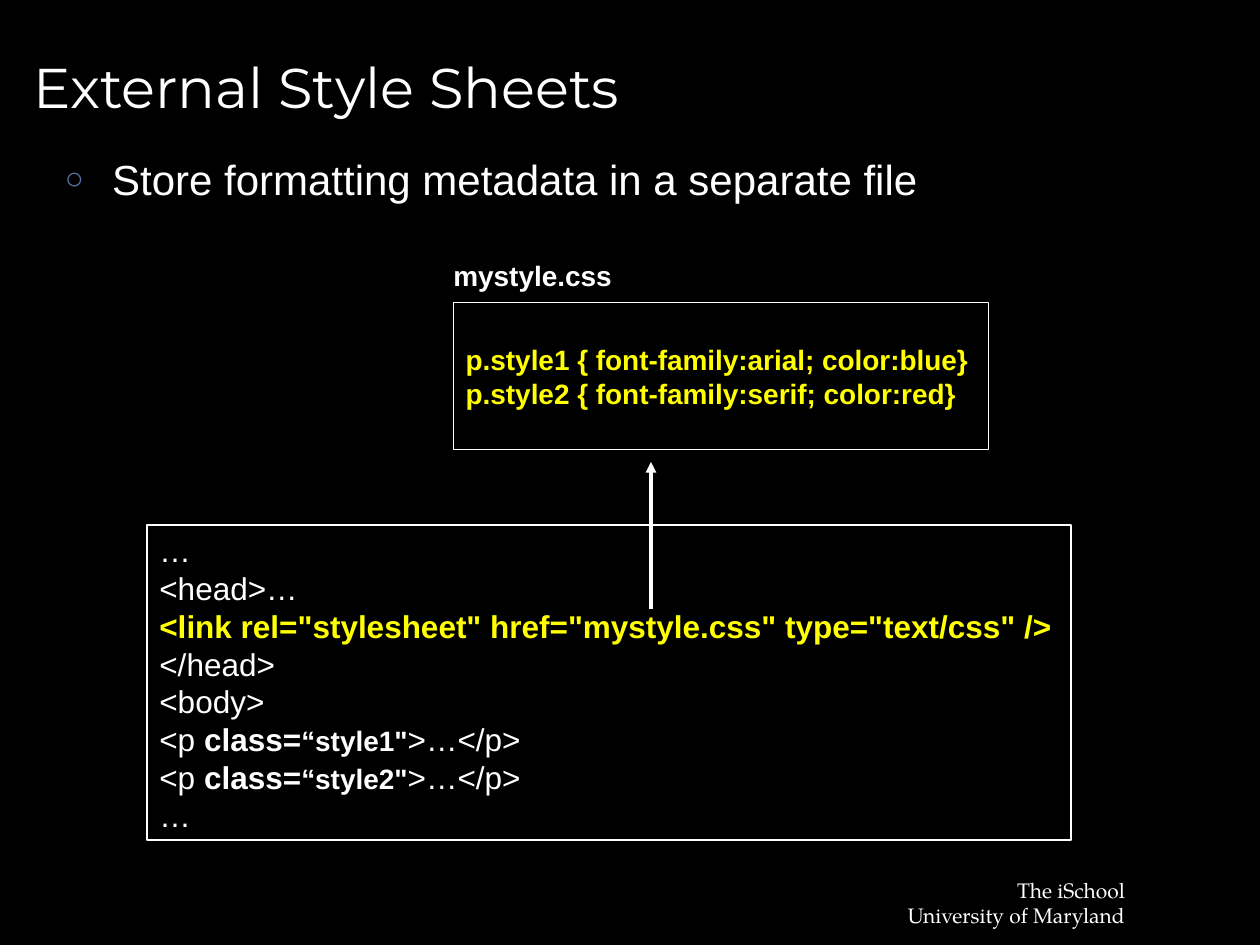
"""Build the External Style Sheets slide."""
import lxml.etree
import pptx
import pptx.dml.color
import pptx.enum.shapes
import pptx.enum.text
import pptx.oxml
import pptx.oxml.ns
import pptx.util

Pt = pptx.util.Pt
ALIGN = pptx.enum.text.PP_ALIGN
ANCHOR = pptx.enum.text.MSO_ANCHOR
RECTANGLE = pptx.enum.shapes.MSO_SHAPE.RECTANGLE
COLORS = {"background": "000000", "text": "FFFFFF", "highlight": "FFFF00", "bullet": "5675A9"}


def rgb(name):
    return pptx.dml.color.RGBColor.from_string(COLORS[name])


def write(paragraph, text, size=18, font="Arial", color="text", bold=False, align=ALIGN.LEFT):
    paragraph.alignment = align
    run = paragraph.add_run()
    run.text = text
    run.font.size = Pt(size)
    run.font.name = font
    run.font.bold = bold
    run.font.color.rgb = rgb(color)


deck = pptx.Presentation()
deck.slide_width, deck.slide_height = Pt(720), Pt(540)
slide = deck.slides.add_slide(deck.slide_layouts[5])
slide.background.fill.solid()
slide.background.fill.fore_color.rgb = rgb("background")

title = slide.shapes.title
title.left, title.top, title.width, title.height = Pt(12), Pt(8.5), Pt(684), Pt(81)
title.text_frame.vertical_anchor = ANCHOR.MIDDLE
write(title.text_frame.paragraphs[0], "External Style Sheets", size=32, font="Montserrat")

summary = slide.shapes.add_textbox(Pt(30), Pt(84), Pt(666), Pt(402)).text_frame
summary.word_wrap = True
point = summary.paragraphs[0]
properties = point._p.get_or_add_pPr()
properties.set("marL", str(Pt(27)))
properties.set("indent", str(-Pt(27)))
namespace = pptx.oxml.ns.nsdecls("a")
for bullet in (
    f'<a:buClr {namespace}><a:srgbClr val="{COLORS["bullet"]}"/></a:buClr>',
    f'<a:buSzPct {namespace} val="75000"/>',
    f'<a:buFont {namespace} typeface="Arial"/>',
    f'<a:buChar {namespace} char="○"/>',
):
    properties.append(pptx.oxml.parse_xml(bullet))
write(point, "Store formatting metadata in a separate file", size=24)

plain, strong = {}, {"bold": True}
value = {"bold": True, "size": 16}
page_highlight = {"bold": True, "color": "highlight"}
css_highlight = {**page_highlight, "size": 16}
page_lines = [
    [("…", plain)],
    [("<head>…", plain)],
    [('<link rel="stylesheet" href="mystyle.css" type="text/css" />', page_highlight)],
    [("</head>", plain)],
    [("<body>", plain)],
    *[[("<p ", plain), ("class=", strong), (f'“{style}"', value), (">…</p>", plain)]
      for style in ("style1", "style2")],
    [("…", plain)],
]
css_lines = [
    [("p.style1 { font-family:arial; color:blue}", css_highlight)],
    [("p.style2 { font-family:serif; color:red}", css_highlight)],
]
for bounds, anchor, wrap, lines in (
    ((84, 300, 528, 180), ANCHOR.TOP, True, page_lines),
    ((259, 173, 306, 84), ANCHOR.MIDDLE, False, css_lines),
):
    listing = slide.shapes.add_shape(RECTANGLE, *map(Pt, bounds))
    listing.shadow.inherit = False
    listing.fill.background()
    listing.line.color.rgb = rgb("text")
    listing.line.width = Pt(0.75)
    code = listing.text_frame
    code.word_wrap = wrap
    code.vertical_anchor = anchor
    for index, line in enumerate(lines):
        paragraph = code.add_paragraph() if index else code.paragraphs[0]
        for text, style in line:
            write(paragraph, text, **style)

file_name = slide.shapes.add_textbox(Pt(252), Pt(144), Pt(110), Pt(26.5)).text_frame
file_name.word_wrap = True
write(file_name.paragraphs[0], "mystyle.css", size=16, bold=True)

reference = slide.shapes.add_connector(
    pptx.enum.shapes.MSO_CONNECTOR.STRAIGHT, Pt(372), Pt(348), Pt(372), Pt(264))
reference.line.color.rgb = rgb("text")
reference.line.width = Pt(2)
arrowhead = lxml.etree.SubElement(reference.line._get_or_add_ln(), pptx.oxml.ns.qn("a:tailEnd"))
arrowhead.set("type", "triangle")
lxml.etree.SubElement(reference._element.spPr, pptx.oxml.ns.qn("a:effectLst"))

school = slide.shapes.add_textbox(Pt(510.5), Pt(498), Pt(139.5), Pt(36)).text_frame
school.word_wrap = False
for index, text in enumerate(("The iSchool", "University of Maryland")):
    paragraph = school.add_paragraph() if index else school.paragraphs[0]
    write(paragraph, text, size=12, font="TeX Gyre Pagella", align=ALIGN.RIGHT)

deck.save("out.pptx")
